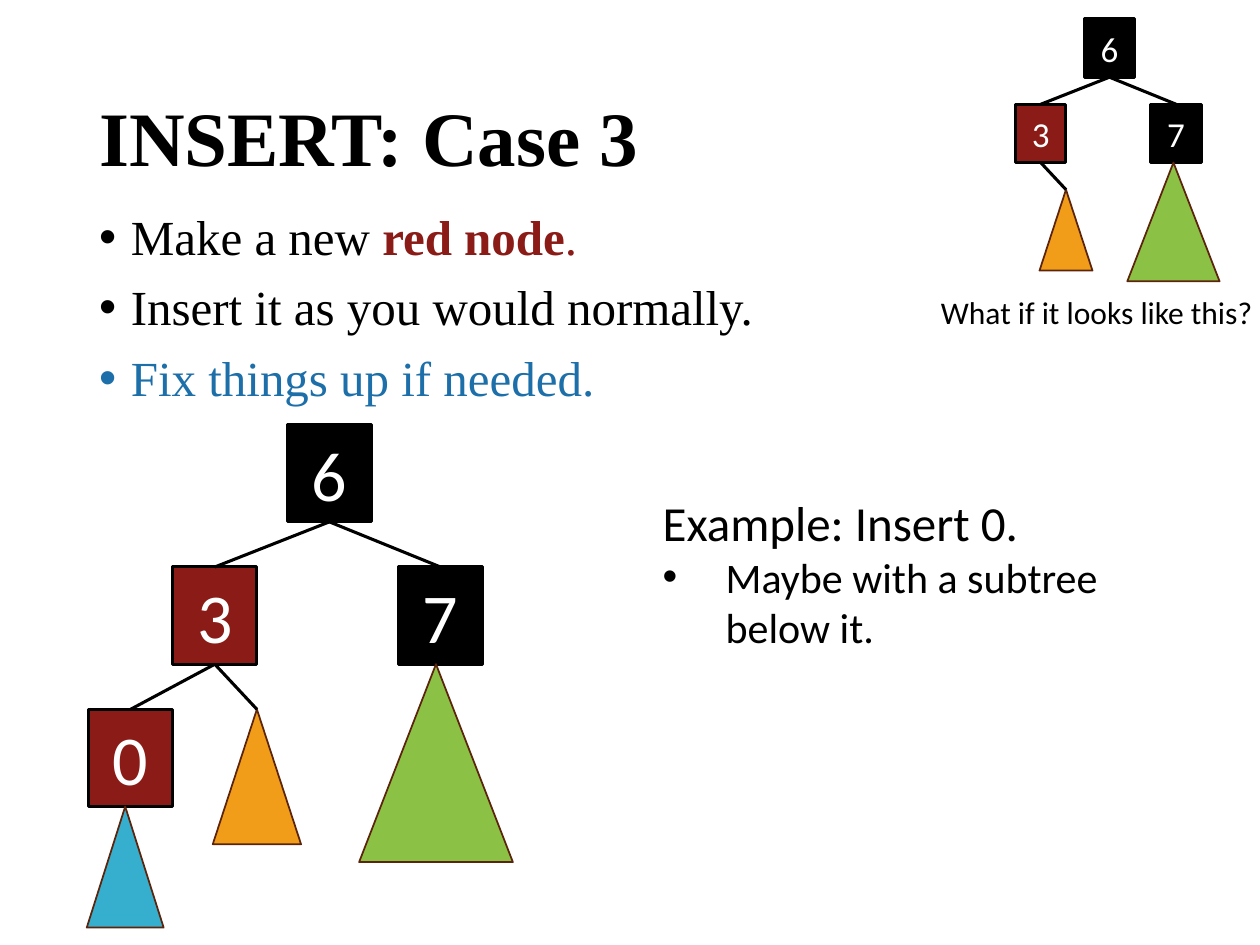
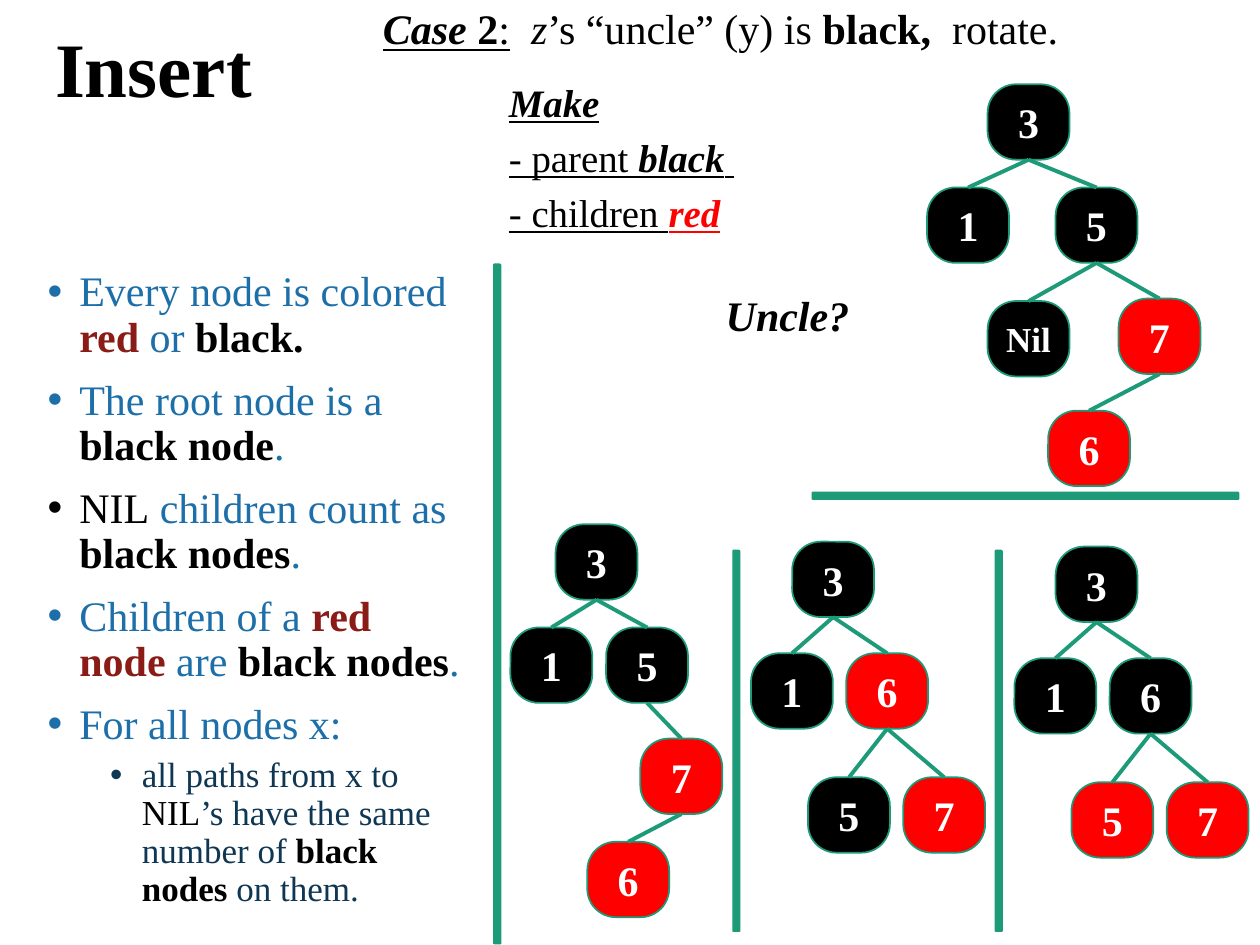
import pptx
import pptx.util
import pptx.dml.color
import pptx.enum.shapes
import pptx.enum.text
import pptx.oxml.ns
from lxml import etree

Cm, Pt = pptx.util.Cm, pptx.util.Pt
SHAPE = pptx.enum.shapes.MSO_SHAPE
MID = pptx.enum.text.MSO_ANCHOR.MIDDLE
CENTER = pptx.enum.text.PP_ALIGN.CENTER

SERIF, SANS = "Times New Roman", "Calibri"
BLACK, WHITE, RED, MAROON = "000000", "FFFFFF", "FF0000", "8B1B17"
BLUE, NAVY, TEAL, BROWN = "1D6FA9", "0F3754", "1D9A78", "5C240C"
GREEN, ORANGE, CYAN = "8BC145", "F19D19", "36AFCE"

# Run formats
DARK = dict(color=BLACK, bold=True)
WINE = dict(color=MAROON, bold=True)
BOLD = dict(bold=True)
SLANT = dict(bold=True, italic=True)


def paint(fmt, color):
    """Set a fill or font colour from a hex string."""
    if hasattr(fmt, "solid"):
        fmt.solid()
        fmt = fmt.fore_color
    else:
        fmt = fmt.color
    fmt.rgb = pptx.dml.color.RGBColor.from_string(color)


def write(frame, text, size=24, face=SERIF, color=BLACK, bold=False,
          italic=False, under=False, align=None, gap=0, lead=None,
          indent=None, hang=0.64):
    """Add a paragraph; text is a string or a list of (string, changes)."""
    para = frame.paragraphs[0]
    if para.runs:
        para = frame.add_paragraph()
        para.space_before = Pt(gap)
    if indent is not None:
        props = para._p.get_or_add_pPr()
        props.set("marL", str(Cm(indent)))
        props.set("indent", str(-Cm(hang)))
        tag = pptx.oxml.ns.qn("a:buFont")
        etree.SubElement(props, tag).set("typeface", "Arial")
        tag = pptx.oxml.ns.qn("a:buChar")
        etree.SubElement(props, tag).set("char", "•")
    if lead:
        para.line_spacing = lead
    if align is not None:
        para.alignment = align
    base = dict(color=color, bold=bold, italic=italic, under=under)
    for part, change in [(text, {})] if isinstance(text, str) else text:
        style = {**base, **change}
        run = para.add_run()
        run.text = part
        run.font.size, run.font.name = Pt(size), face
        run.font.bold, run.font.italic = style["bold"], style["italic"]
        run.font.underline = style["under"]
        paint(run.font, style["color"])


def label(slide, box, anchor=None):
    frame = slide.shapes.add_textbox(*map(Cm, box)).text_frame
    frame.word_wrap = True
    if anchor is not None:
        frame.vertical_anchor = anchor
    return frame


def title(slide, text, box):
    write(label(slide, box, MID), text, size=44, bold=True, lead=0.9)


def block(shapes, kind, box, fill, line, width=1):
    shape = shapes.add_shape(kind, *map(Cm, box))
    shape.shadow.inherit = False
    paint(shape.fill, fill)
    paint(shape.line, line) if hasattr(shape.line, "solid") else paint(shape.line.fill, line)
    shape.line.width = Pt(width)
    return shape


def node(shapes, kind, box, text, fill, line, width=1, **fmt):
    shape = block(shapes, kind, box, fill, line, width)
    frame = shape.text_frame
    frame.margin_left = frame.margin_right = 0
    frame.margin_top = frame.margin_bottom = 0
    frame.vertical_anchor = MID
    write(frame, text, color=WHITE, align=CENTER, **fmt)
    return shape


def link(shapes, top, low, color, width):
    """Join the bottom of one shape to the top of another."""
    line = shapes.add_connector(
        pptx.enum.shapes.MSO_CONNECTOR.STRAIGHT,
        top.left + top.width // 2, top.top + top.height,
        low.left + low.width // 2, low.top)
    line.begin_connect(top, 2)
    line.end_connect(low, 0)
    paint(line.line.fill, color)
    line.line.width = Pt(width)
    etree.SubElement(line._element.spPr, pptx.oxml.ns.qn("a:effectLst"))


def square_tree(slide, left, top, scale, size, grown):
    """Square nodes with triangles for subtrees; grown adds node 0."""
    shapes = slide.shapes.add_group_shape().shapes

    def place(x, y, wide, high):
        return (left + x * scale, top + y * scale, wide * scale, high * scale)

    spots = {"6": (2.31, 0, BLACK), "3": (0, 2.87, MAROON),
             "7": (4.55, 2.87, BLACK)}
    subs = {"right": (3.76, 4.83, 3.1, 3.99, GREEN),
            "mid": (0.81, 5.74, 1.78, 2.72, ORANGE)}
    links = ["6", "3"], ["6", "7"], ["3", "mid"]
    if grown:
        spots["0"] = (-1.7, 5.74, MAROON)
        subs["left"] = (-1.73, 7.7, 1.55, 2.44, CYAN)
        links += (["3", "0"],)
    parts = {}
    for name, (x, y, fill) in spots.items():
        parts[name] = node(shapes, SHAPE.RECTANGLE, place(x, y, 1.7, 1.96),
                           name, fill, BLACK, 1.75, size=size, face=SANS)
    for name, (*box, fill) in subs.items():
        parts[name] = block(shapes, SHAPE.ISOSCELES_TRIANGLE, place(*box),
                            fill, BROWN)
    for start, end in links:
        link(shapes, parts[start], parts[end], BLACK, 1.75)


def round_tree(slide, left, top, spots, links, reds):
    """Rounded nodes; links are two-letter pairs of node initials."""
    shapes = slide.shapes.add_group_shape().shapes
    parts = {}
    for name, (x, y) in spots.items():
        fill = RED if name in reds else BLACK
        shape = node(shapes, SHAPE.ROUNDED_RECTANGLE,
                     (left + x, top + y, 1.65, 1.52), name, fill, TEAL,
                     size=20 if len(name) > 1 else 24, bold=True)
        shape.adjustments[0] = 0.378
        parts[name[0]] = shape
    for start, end in links.split():
        link(shapes, parts[start], parts[end], TEAL, 2.25)


def case_slide(slide):
    # Steps
    frame = label(slide, (1.75, 4.17, 21.89, 4.39))
    step = dict(size=28, lead=0.9, gap=10, indent=0.64)
    write(frame, [("Make a new ", {}), ("red node", WINE),
                  (".", dict(color=MAROON))], **step)
    write(frame, "Insert it as you would normally.", **step)
    write(frame, "Fix things up if needed.", color=BLUE, **step)

    # Tree after and before the insertion
    square_tree(slide, 3.48, 8.56, 1, 40, True)
    square_tree(slide, 20.47, 0.38, 0.6, 20, False)

    # Remarks
    frame = label(slide, (13.11, 9.8, 9.27, 3.51))
    write(frame, "Example: Insert 0.", size=28, face=SANS)
    write(frame, "Maybe with a subtree below it.", face=SANS,
          indent=1.27, hang=1.27)
    write(label(slide, (18.72, 5.79, 8.03, 1.02)),
          "What if it looks like this?", size=18, face=SANS)
    title(slide, "INSERT: Case 3", (1.75, 1.02, 21.89, 3.68))


def rules(slide, box):
    """Bulleted list of the tree's rules."""
    frame = label(slide, box)
    lines = [
        [("Every node is colored ", {}), ("red", WINE), (" or ", {}),
         ("black.", DARK)],
        [("The root node is a ", {}), ("black node", DARK), (".", {})],
        [("NIL", dict(color=BLACK)), (" children count as ", {}),
         ("black nodes", DARK), (".", {})],
        [("Children of a ", {}), ("red node ", WINE), ("are ", {}),
         ("black nodes", DARK), (".", {})],
        "For all nodes x:",
    ]
    for line in lines:
        write(frame, line, color=BLUE, lead=0.9, gap=10, indent=0.64)
    write(frame, [("all paths from x to ", {}), ("NIL", dict(color=BLACK)),
                  ("’s have the same number of ", {}),
                  ("black nodes ", DARK), ("on them.", {})],
          size=20, color=NAVY, lead=0.9, gap=5, indent=1.9)


def rotate_slide(slide):
    title(slide, "Insert", (0.86, 0.48, 7.14, 1.98))
    rules(slide, (0.71, 5.33, 8.94, 13.46))

    # Case heading
    write(label(slide, (7.47, 0.05, 14.48, 1.3)),
          [("Case", dict(SLANT, under=True)), (" 2", dict(BOLD, under=True)),
           (":", dict(under=True)), ("  ", {}), ("z", dict(italic=True)),
           ("’s “uncle” (y) is ", {}), ("black,  ", BOLD), ("rotate.", {})],
          lead=0.9)
    write(label(slide, (14.38, 5.82, 3.33, 1.22)), "Uncle?", lead=0.9, **SLANT)

    # Recolouring
    frame = label(slide, (10.01, 1.65, 6.27, 3.25))
    for line in ([("Make", SLANT)],
                 [("- parent ", {}), ("black", SLANT), (" ", {})],
                 [("- children ", {}), ("red", dict(SLANT, color=RED))]):
        write(frame, line, size=22.2, under=True, lead=0.8, gap=10)

    # Dividers
    for box in ((9.96, 5.33, 0.13, 13.69), (16.38, 9.93, 8.59, 0.13),
                (14.78, 11.1, 0.13, 7.67), (20.07, 11.1, 0.13, 7.67)):
        block(slide.shapes, SHAPE.ROUND_1_RECTANGLE, box, TEAL, TEAL)

    # Start, first turn, second turn, new colours
    round_tree(slide, 18.69, 1.7,
               {"3": (1.22, 0), "1": (0, 2.08), "5": (2.59, 2.08),
                "7": (3.86, 4.32), "Nil": (1.22, 4.37), "6": (2.44, 6.58)},
               "31 35 57 5N 76", "67")
    round_tree(slide, 10.29, 10.57,
               {"3": (0.91, 0), "1": (0, 2.08), "5": (1.93, 2.08),
                "7": (2.62, 4.32), "6": (1.55, 6.4)},
               "31 35 57 76", "67")
    turned = {"3": (0.83, 0), "1": (0, 2.25), "6": (1.92, 2.25),
              "5": (1.15, 4.75), "7": (3.07, 4.75)}
    for left, top, reds in ((15.14, 10.92, "67"), (20.45, 11.02, "57")):
        round_tree(slide, left, top, turned, "31 36 65 67", reds)


def main():
    deck = pptx.Presentation()
    deck.slide_width, deck.slide_height = Cm(25.4), Cm(19.05)
    for build in (case_slide, rotate_slide):
        build(deck.slides.add_slide(deck.slide_layouts[6]))
    deck.save("out.pptx")


if __name__ == "__main__":
    main()
